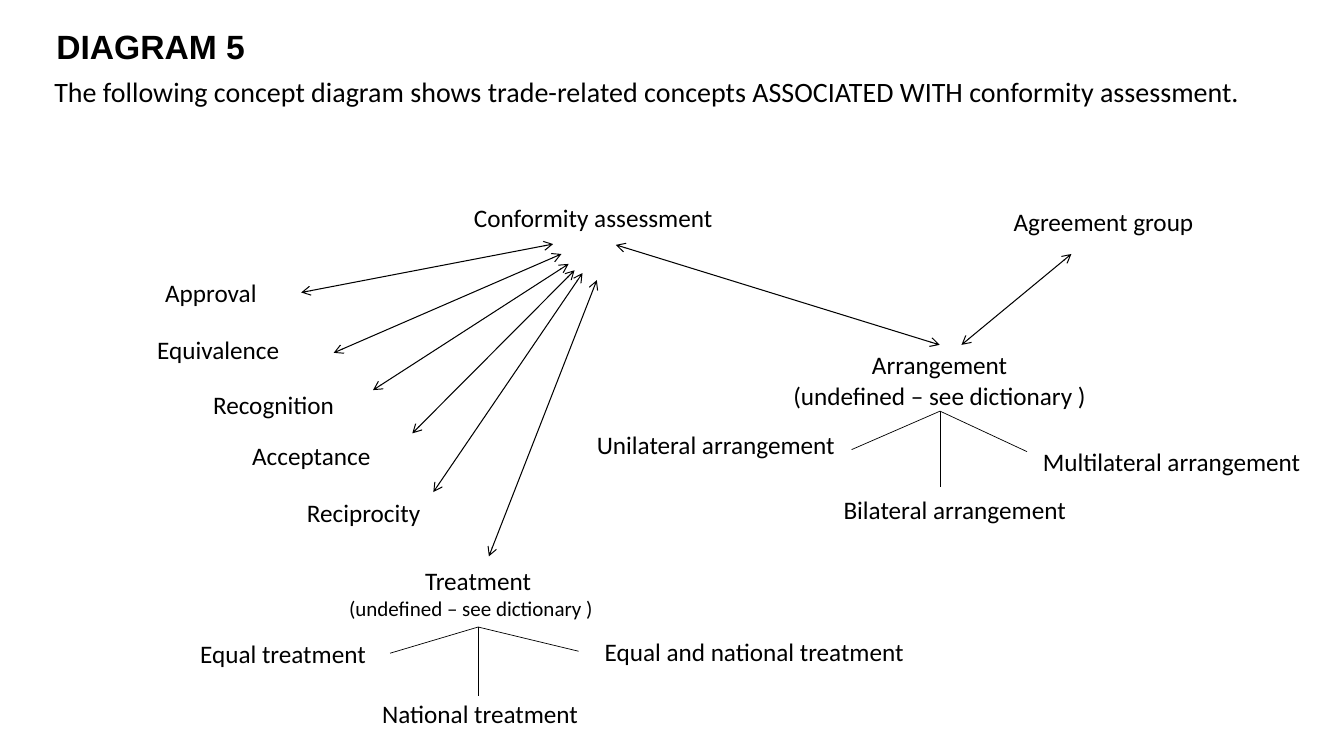
from lxml import etree
from pptx import Presentation
from pptx import util as u
from pptx.dml.color import RGBColor
from pptx.enum import shapes, text
from pptx.oxml import ns

BLACK = RGBColor(0, 0, 0)

# Headings: wording, left, top, width, height, size, font, bold (lengths in cm)
HEADINGS = [
    ("The following concept diagram shows trade-related concepts ASSOCIATED WITH "
     "conformity assessment.", 1.37, 1.85, 30.02, 1.8, 20, "Calibri", False),
    ("DIAGRAM 5", 1.42, 0.64, 30.53, 1.17, 24, "Arial", True),
]

# Concepts: name, left, top, width, right inset
WIDE, LINE_HEIGHT, INSET = 8.86, 1.02, 0.25
CONCEPTS = [
    ("Conformity assessment", 10.52, 4.98, WIDE, INSET),
    ("Agreement group", 24.56, 5.08, 6.5, INSET),
    ("Approval", 1.91, 6.86, 6.81, INSET),
    ("Equivalence", 1.07, 8.31, WIDE, INSET),
    ("Recognition", 2.54, 9.68, WIDE, 0.4),
    ("Acceptance", 3.56, 10.97, WIDE, 0.54),
    ("Reciprocity", 4.95, 12.4, WIDE, 0.68),
    ("Equal treatment", 4.7, 15.95, 5.16, 0.54),
    ("National treatment", 7.67, 17.48, WIDE, INSET),
    ("Equal and national treatment", 14.58, 15.9, WIDE, INSET),
    ("Unilateral arrangement", 13.61, 10.69, WIDE, INSET),
    ("Bilateral arrangement", 19.63, 12.34, WIDE, INSET),
    ("Multilateral arrangement", 25.17, 11.13, WIDE, 0.4),
]

# Undefined concepts: name, left, top, height, note size, note right margin
NOTE = "(undefined – see dictionary )"
UNDEFINED = [
    ("Arrangement", 19.25, 8.69, 1.8, 18, 0),
    ("Treatment", 7.62, 14.12, 1.68, 15, 0.36),
]

# Associations: two-headed arrows, start and end points
ASSOCIATIONS = [
    ((7.59, 7.37), (13.94, 6.15)),      # approval
    ((14.15, 6.4), (8.41, 8.89)),       # equivalence
    ((14.33, 6.65), (9.4, 9.83)),       # recognition
    ((14.48, 6.81), (10.39, 10.92)),    # acceptance
    ((14.68, 6.88), (10.92, 12.4)),     # reciprocity
    ((15.04, 7.06), (12.32, 14.02)),    # treatment
    ((27, 6.4), (24.23, 8.69)),         # agreement group
]
TO_ARRANGEMENT = ((15.52, 6.17), (23.68, 8.69))

# Branches: root and the ends below it
ARRANGEMENT_ROOT = (23.69, 10.36)
ARRANGEMENT_ENDS = [(21.46, 11.33), (23.69, 12.27), (25.88, 11.38)]
TREATMENT_ROOT = (12.05, 15.8)
TREATMENT_ENDS = [(9.83, 16.46), (12.05, 17.55), (14.58, 16.41)]

deck = Presentation()
deck.slide_width, deck.slide_height = u.Cm(33.87), u.Cm(19.05)
page = deck.slides.add_slide(deck.slide_layouts[6])


def add_box(left, top, width, height, left_inset, right_inset):
    box = page.shapes.add_textbox(*map(u.Cm, (left, top, width, height)))
    frame = box.text_frame
    frame.word_wrap = True
    frame.margin_left, frame.margin_right = u.Cm(left_inset), u.Cm(right_inset)
    return box


def write(para, wording, size, font="Calibri", bold=False, align=text.PP_ALIGN.CENTER):
    para.text = wording
    para.alignment = align
    para.font.size, para.font.name, para.font.bold = u.Pt(size), font, bold
    para.font.color.rgb = BLACK


def add_line(start, end, width, arrows=False):
    line = page.shapes.add_connector(
        shapes.MSO_CONNECTOR.STRAIGHT, *map(u.Cm, start + end))
    line.line.color.rgb, line.line.width = BLACK, u.Pt(width)
    if arrows:
        outline = line.line._get_or_add_ln()
        for tip in ("a:headEnd", "a:tailEnd"):
            etree.SubElement(outline, ns.qn(tip), type="arrow")
    etree.SubElement(line._element.spPr, ns.qn("a:effectLst"))
    return line


# Headings
for wording, left, top, width, height, size, font, bold in HEADINGS:
    para = add_box(left, top, width, height, 0, 0).text_frame.paragraphs[0]
    write(para, wording, size, font, bold, text.PP_ALIGN.LEFT)
    para.line_spacing = 0.9

# Concepts
for name, left, top, width, right_inset in CONCEPTS:
    box = add_box(left, top, width, LINE_HEIGHT, INSET, right_inset)
    write(box.text_frame.paragraphs[0], name, 18)

undefined_boxes = {}
for name, left, top, height, note_size, note_margin in UNDEFINED:
    box = add_box(left, top, WIDE, height, INSET, INSET)
    write(box.text_frame.paragraphs[0], name, 18)
    note = box.text_frame.add_paragraph()
    write(note, NOTE, note_size)
    if note_margin:
        note._p.get_or_add_pPr().set("marR", str(u.Cm(note_margin)))
    undefined_boxes[name] = box

# Associations
for start, end in ASSOCIATIONS:
    add_line(start, end, 0.75, arrows=True)
add_line(*TO_ARRANGEMENT, 0.75, arrows=True).end_connect(undefined_boxes["Arrangement"], 0)

# Branches
for end in ARRANGEMENT_ENDS:
    add_line(ARRANGEMENT_ROOT, end, 0.5)
for end in TREATMENT_ENDS:
    add_line(TREATMENT_ROOT, end, 0.5).begin_connect(undefined_boxes["Treatment"], 2)

deck.save("out.pptx")
